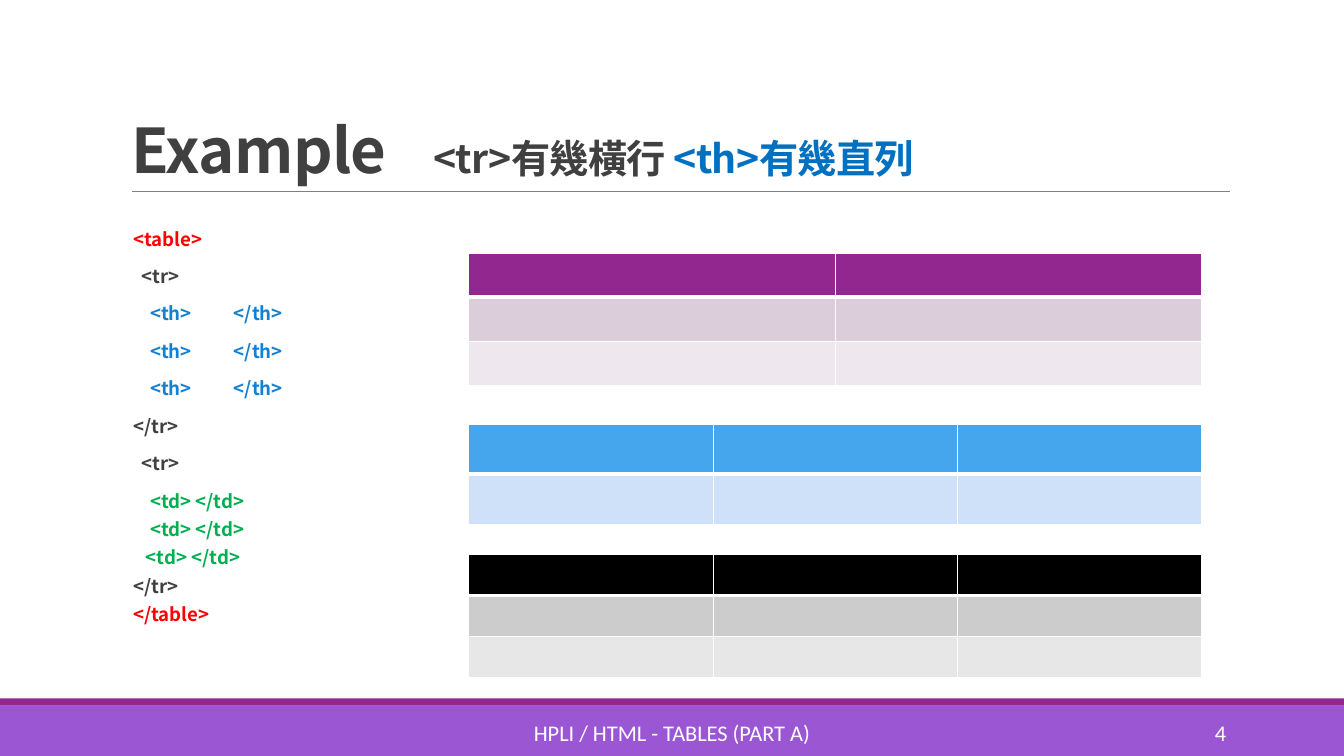
from dataclasses import dataclass

from lxml.etree import SubElement
from pptx import Presentation
from pptx.dml.color import RGBColor
from pptx.enum.shapes import MSO_CONNECTOR as Connector, MSO_SHAPE as Preset
from pptx.enum.text import MSO_ANCHOR as Anchor, MSO_AUTO_SIZE as AutoSize, PP_ALIGN as Align
from pptx.oxml.ns import qn
from pptx.util import Inches, Pt


@dataclass(frozen=True)
class Theme:
    """Colours, fonts and type sizes of the slide."""
    text: str = "404040"
    white: str = "FFFFFF"
    rule: str = "808080"
    footer: str = "9B57D3"
    accent: str = "92278F"
    title_blue: str = "0070C0"
    table_tag: str = "FF0000"
    th_tag: str = "1480D1"
    td_tag: str = "00B050"
    purple_rows: tuple = ("92278F", "DCCDDB", "EEE8EE")
    blue_rows: tuple = ("45A5ED", "CFE1F8")
    grey_rows: tuple = ("000000", "CCCCCC", "E7E7E7")
    code_font: str = "Noto Sans CJK SC"
    footer_font: str = "Calibri"
    title_size: float = 44
    subtitle_size: float = 28
    code_size: float = 13.3
    footer_size: float = 16


THEME = Theme()
WIDE, TIGHT = 1.3, 0.9
INDENT_STEP = 0.042
CODE_LINES = (
    ("<table>", THEME.table_tag, 0, WIDE),
    ("<tr>", THEME.text, 2, WIDE),
    *[("<th>\t</th>", THEME.th_tag, 4, WIDE)] * 3,
    ("</tr>", THEME.text, 0, WIDE),
    ("<tr>", THEME.text, 2, WIDE),
    ("<td> </td>", THEME.td_tag, 4, WIDE),
    ("<td> </td>", THEME.td_tag, 4, TIGHT),
    ("<td> </td>", THEME.td_tag, 3, TIGHT),
    ("</tr>", THEME.text, 0, TIGHT),
    ("</table>", THEME.table_tag, 0, TIGHT),
)


def color(value):
    """Turn a hex string into a colour."""
    return RGBColor.from_string(value)


def place(shape, left, top, width, height):
    """Move and size a shape in inches."""
    shape.left, shape.top = Inches(left), Inches(top)
    shape.width, shape.height = Inches(width), Inches(height)


def add_run(paragraph, text, font, size, fill, bold=False, spacing=0):
    """Add one formatted run to a paragraph."""
    run = paragraph.add_run()
    run.text = text
    run.font.name, run.font.size, run.font.bold = font, Pt(size), bold
    run.font.color.rgb = color(fill)
    properties = run.font._element
    SubElement(properties, qn("a:ea")).set("typeface", font)
    if spacing:
        properties.set("spc", str(round(spacing * 100)))


def set_layout(paragraph, line_spacing, before, tab, indent=0):
    """Set spacing, first-line indent and a tab stop without a bullet."""
    paragraph.alignment = Align.LEFT
    paragraph.line_spacing = line_spacing
    paragraph.space_before, paragraph.space_after = Pt(before), Pt(0)
    properties = paragraph._p.get_or_add_pPr()
    properties.set("marL", "0")
    properties.set("indent", str(Inches(indent)))
    SubElement(properties, qn("a:buNone"))
    stops = SubElement(properties, qn("a:tabLst"))
    SubElement(stops, qn("a:tab"), pos=str(Inches(tab)), algn="l")


def add_bar(slide, top, height, fill):
    """Add a full-width footer bar."""
    bar = slide.shapes.add_shape(
        Preset.RECTANGLE, 0, Inches(top), Inches(13.33), Inches(height))
    bar.shadow.inherit = False
    bar.fill.solid()
    bar.fill.fore_color.rgb = color(fill)
    bar.line.fill.background()


def add_rule(slide):
    """Add the thin line under the title."""
    rule = slide.shapes.add_connector(
        Connector.STRAIGHT, Inches(1.31), Inches(1.9), Inches(12.2), Inches(1.9))
    rule.line.color.rgb = color(THEME.rule)
    rule.line.width = Pt(0.5)
    SubElement(rule._element.spPr, qn("a:effectLst"))


def add_footer_text(slide, text, left, width, alignment):
    """Add a text on the footer bar."""
    box = slide.shapes.add_textbox(Inches(left), Inches(7.07), Inches(width), Inches(0.4))
    frame = box.text_frame
    frame.word_wrap = True
    frame.vertical_anchor = Anchor.MIDDLE
    paragraph = frame.paragraphs[0]
    paragraph.alignment = alignment
    add_run(paragraph, text, THEME.footer_font, THEME.footer_size, THEME.white)


def fill_title(title):
    """Place the title and write its runs."""
    place(title, 1.2, 0.31, 11, 1.59)
    frame = title.text_frame
    frame.auto_size, frame.word_wrap = AutoSize.NONE, True
    frame.vertical_anchor = Anchor.BOTTOM
    paragraph = frame.paragraphs[0]
    set_layout(paragraph, 0.85, 0, 2.89)
    for text, size, fill in (
        ("Example\t", THEME.title_size, THEME.text),
        ("<tr>有幾橫行 ", THEME.subtitle_size, THEME.text),
        ("<th>有幾直列", THEME.subtitle_size, THEME.title_blue),
    ):
        add_run(paragraph, text, THEME.code_font, size, fill, True, -0.5)


def fill_code(body):
    """Place the body and write the markup lines."""
    place(body, 1.32, 2.14, 2.97, 4.4)
    frame = body.text_frame
    frame.auto_size, frame.word_wrap = AutoSize.NONE, True
    frame.vertical_anchor = Anchor.TOP
    frame.margin_left = frame.margin_right = 0
    for index, (text, fill, level, line_spacing) in enumerate(CODE_LINES):
        paragraph = frame.add_paragraph() if index else frame.paragraphs[0]
        set_layout(paragraph, line_spacing, 6, 0.67, level * INDENT_STEP)
        add_run(paragraph, text, THEME.code_font, THEME.code_size, fill, True)


def set_border(cell, side, width):
    """Draw one white border of a cell."""
    line = SubElement(cell._tc.get_or_add_tcPr(), qn(f"a:ln{side}"), w=str(Pt(width)))
    fill = SubElement(line, qn("a:solidFill"))
    SubElement(fill, qn("a:srgbClr"), val=THEME.white)


def add_sample_table(slide, top, height, column_count, row_fills):
    """Add an empty table with one fill per row."""
    row_count = len(row_fills)
    table = slide.shapes.add_table(
        row_count, column_count, Inches(4.65), Inches(top), Inches(7.27), Inches(height)).table
    table.first_row = table.horz_banding = False
    for row_index, (row, fill) in enumerate(zip(table.rows, row_fills)):
        row.height = Inches(height / row_count)
        widths = {"L": 1, "R": 1, "T": 3 if row_index == 1 else 1, "B": 1 if row_index else 3}
        for cell in row.cells:
            for side, width in widths.items():
                set_border(cell, side, width)
            cell.fill.solid()
            cell.fill.fore_color.rgb = color(fill)


def main():
    """Build and save the slide."""
    presentation = Presentation()
    presentation.slide_width, presentation.slide_height = Inches(13.33), Inches(7.5)
    slide = presentation.slides.add_slide(presentation.slide_layouts[1])
    add_bar(slide, 7, 0.5, THEME.footer)
    add_bar(slide, 6.93, 0.07, THEME.accent)
    add_rule(slide)
    fill_title(slide.shapes.title)
    fill_code(slide.placeholders[1])
    add_footer_text(slide, "HPLI / HTML - TABLES (PART A)", 4.03, 5.27, Align.CENTER)
    add_footer_text(slide, "4", 10.83, 1.43, Align.RIGHT)
    add_sample_table(slide, 2.51, 1.32, 2, THEME.purple_rows)
    add_sample_table(slide, 4.21, 0.99, 3, THEME.blue_rows)
    add_sample_table(slide, 5.5, 1.22, 3, THEME.grey_rows)
    presentation.save("out.pptx")


if __name__ == "__main__":
    main()
